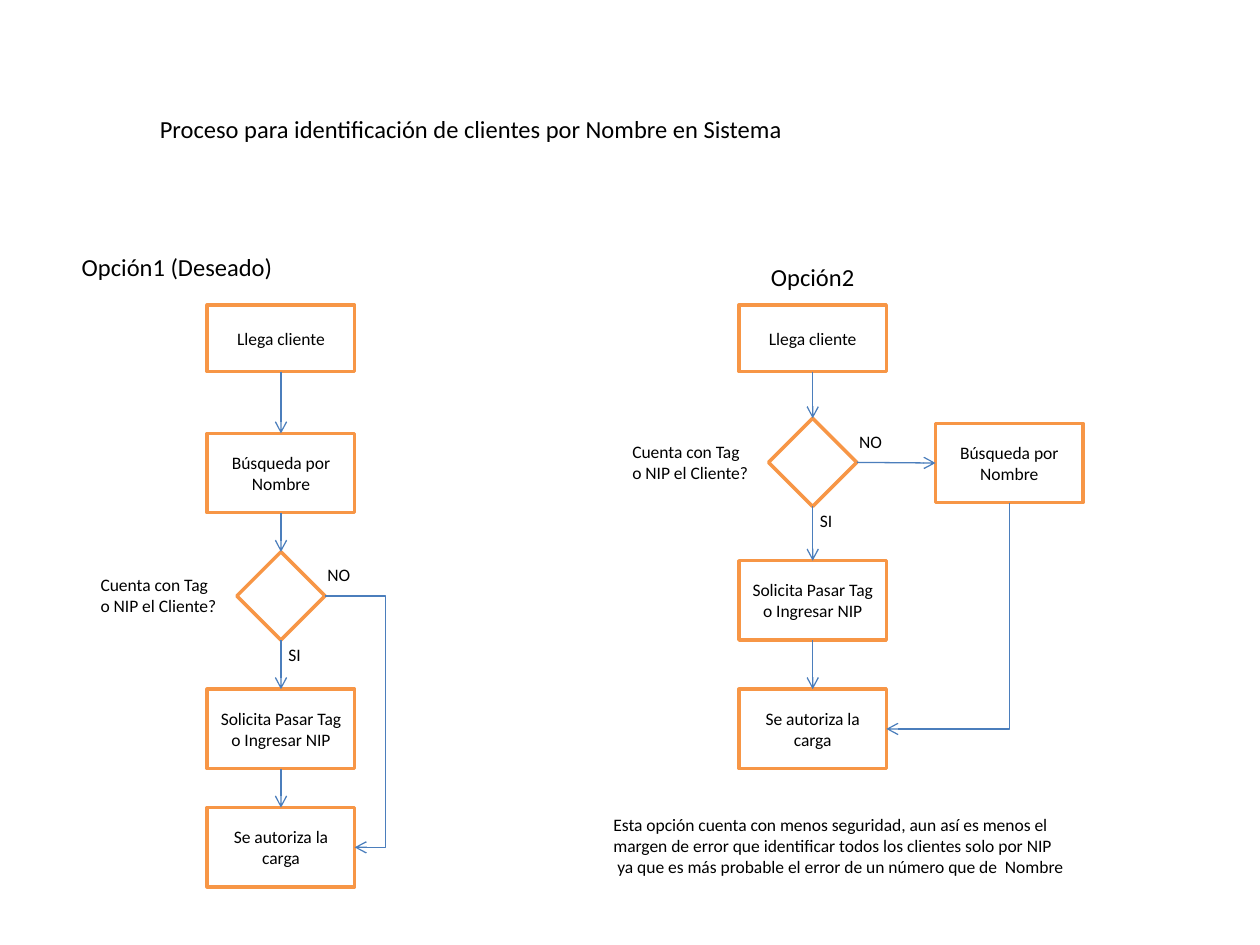
from dataclasses import dataclass

from lxml import etree
from pptx import Presentation
from pptx.dml.color import RGBColor
from pptx.enum.shapes import MSO_CONNECTOR, MSO_SHAPE
from pptx.enum.text import MSO_ANCHOR, MSO_AUTO_SIZE, PP_ALIGN
from pptx.oxml.ns import qn
from pptx.util import Inches, Pt


@dataclass(frozen=True)
class Theme:
    font: str = "Calibri"
    heading: Pt = Pt(14)
    body: Pt = Pt(10)
    ink: RGBColor = RGBColor(0, 0, 0)
    paper: RGBColor = RGBColor(255, 255, 255)
    border: RGBColor = RGBColor(0xF7, 0x96, 0x46)
    arrow: RGBColor = RGBColor(0x4B, 0x7E, 0xBC)


THEME = Theme()

# Content: left, top, width, height, lines
HEADINGS = [
    (1.17, 0.86, 5.36, 0.34, ["Proceso para identificación de clientes por Nombre en Sistema"]),
    (0.55, 1.95, 1.73, 0.34, ["Opción1 (Deseado)"]),
    (6.02, 2.03, 0.87, 0.34, ["Opción2"]),
]
CLOSING_NOTE = (4.77, 6.41, 3.83, 0.61, [
    "Esta opción cuenta con menos seguridad, aun así es menos el",
    "margen de error que identificar todos los clientes solo por NIP",
    " ya que es más probable el error de un número que de  Nombre",
])
STEPS = {
    "arrive": "Llega cliente",
    "search": "Búsqueda por Nombre",
    "decide": "",
    "request": "Solicita Pasar Tag o Ingresar NIP",
    "authorize": "Se autoriza la carga",
}
# Each option: column centre, step centres as (x offset, top), straight arrows, bent arrow
OPTIONS = [
    dict(center=2.23,
         places=dict(arrive=(0, 2.42), search=(0, 3.44), decide=(0, 4.38),
                     request=(0, 5.47), authorize=(0, 6.41)),
         down=["arrive", "search", "decide", "request", "authorize"],
         across=None, bypass="decide"),
    dict(center=6.45,
         places=dict(arrive=(0, 2.42), search=(1.56, 3.36), decide=(0, 3.32),
                     request=(0, 4.45), authorize=(0, 5.47)),
         down=["arrive", "decide", "request", "authorize"],
         across=("decide", "search"), bypass="search"),
]
# Labels placed relative to the column centre and the top of the decision
DECISION_LABELS = [
    (-1.53, 0.13, 1.13, 0.44, ["Cuenta con Tag", "o NIP el Cliente?"]),
    (-0.04, 0.68, 0.30, 0.27, ["SI"]),
    (0.27, 0.05, 0.39, 0.27, ["NO"]),
]
BOX_WIDTH, BOX_HEIGHT, ARRIVE_HEIGHT, DIAMOND = 1.17, 0.63, 0.53, 0.70
BYPASS_REACH = 0.48  # from the decision's right corner to the vertical run
TOP, LEFT, BOTTOM, RIGHT = range(4)

deck = Presentation()
deck.slide_width, deck.slide_height = Inches(10), Inches(7.5)
slide = deck.slides.add_slide(deck.slide_layouts[6])


def style(paragraph, size):
    paragraph.font.name = THEME.font
    paragraph.font.size = size
    paragraph.font.color.rgb = THEME.ink


def add_label(left, top, width, height, lines, size=THEME.body):
    frame = slide.shapes.add_textbox(*map(Inches, (left, top, width, height))).text_frame
    frame.word_wrap = False
    frame.auto_size = MSO_AUTO_SIZE.SHAPE_TO_FIT_TEXT
    frame.text = "\n".join(lines)
    for paragraph in frame.paragraphs:
        style(paragraph, size)


def add_step(name, center, top):
    if name == "decide":
        kind, width, height = MSO_SHAPE.DIAMOND, DIAMOND, DIAMOND
    else:
        kind, width = MSO_SHAPE.RECTANGLE, BOX_WIDTH
        height = ARRIVE_HEIGHT if name == "arrive" else BOX_HEIGHT
    step = slide.shapes.add_shape(
        kind, *map(Inches, (center - width / 2, top, width, height)))
    step.shadow.inherit = False
    step.fill.solid()
    step.fill.fore_color.rgb = THEME.paper
    step.line.color.rgb = THEME.border
    step.line.width = Pt(2)
    if STEPS[name]:
        frame = step.text_frame
        frame.word_wrap = True
        frame.vertical_anchor = MSO_ANCHOR.MIDDLE
        frame.text = STEPS[name]
        frame.paragraphs[0].alignment = PP_ALIGN.CENTER
        style(frame.paragraphs[0], THEME.body)
    return step


def add_arrow(start, start_site, end, end_site, kind=MSO_CONNECTOR.STRAIGHT):
    arrow = slide.shapes.add_connector(kind, 0, 0, 0, 0)
    arrow.begin_connect(start, start_site)
    arrow.end_connect(end, end_site)
    arrow.line.color.rgb = THEME.arrow
    arrow.line.width = Pt(0.75)
    line = arrow.line._get_or_add_ln()
    etree.SubElement(line, qn("a:tailEnd"), type="arrow")
    etree.SubElement(arrow._element.spPr, qn("a:effectLst"))
    return arrow


def bend_around(arrow):
    """Run right past the target, then down and back."""
    guides = arrow._element.spPr.find(qn("a:prstGeom")).find(qn("a:avLst"))
    ratio = round(Inches(BYPASS_REACH) / arrow.width * 100000)
    etree.SubElement(guides, qn("a:gd"), name="adj1", fmla=f"val {ratio}")


def bend_down_left(arrow):
    """Run down, then left: a single bend turned by 90 degrees."""
    middle_x = (arrow.begin_x + arrow.end_x) // 2
    middle_y = (arrow.begin_y + arrow.end_y) // 2
    width, height = arrow.height, arrow.width
    properties = arrow._element.spPr
    properties.find(qn("a:prstGeom")).set("prst", "bentConnector2")
    frame = properties.find(qn("a:xfrm"))
    frame.attrib.pop("flipH", None)
    frame.set("rot", str(90 * 60000))
    arrow.left, arrow.top = middle_x - width // 2, middle_y - height // 2
    arrow.width, arrow.height = width, height


# Headings and closing note
for heading in HEADINGS:
    add_label(*heading, size=THEME.heading)
add_label(*CLOSING_NOTE)

# Flowcharts
for option in OPTIONS:
    center, places = option["center"], option["places"]
    steps = {name: add_step(name, center + shift, top)
             for name, (shift, top) in places.items()}
    for shift, drop, width, height, lines in DECISION_LABELS:
        add_label(center + shift, places["decide"][1] + drop, width, height, lines)

    for upper, lower in zip(option["down"], option["down"][1:]):
        add_arrow(steps[upper], BOTTOM, steps[lower], TOP)
    if option["across"]:
        source, target = option["across"]
        add_arrow(steps[source], RIGHT, steps[target], LEFT)

    from_decision = option["bypass"] == "decide"
    bypass = add_arrow(steps[option["bypass"]], RIGHT if from_decision else BOTTOM,
                       steps["authorize"], RIGHT, MSO_CONNECTOR.ELBOW)
    (bend_around if from_decision else bend_down_left)(bypass)

deck.save("out.pptx")
